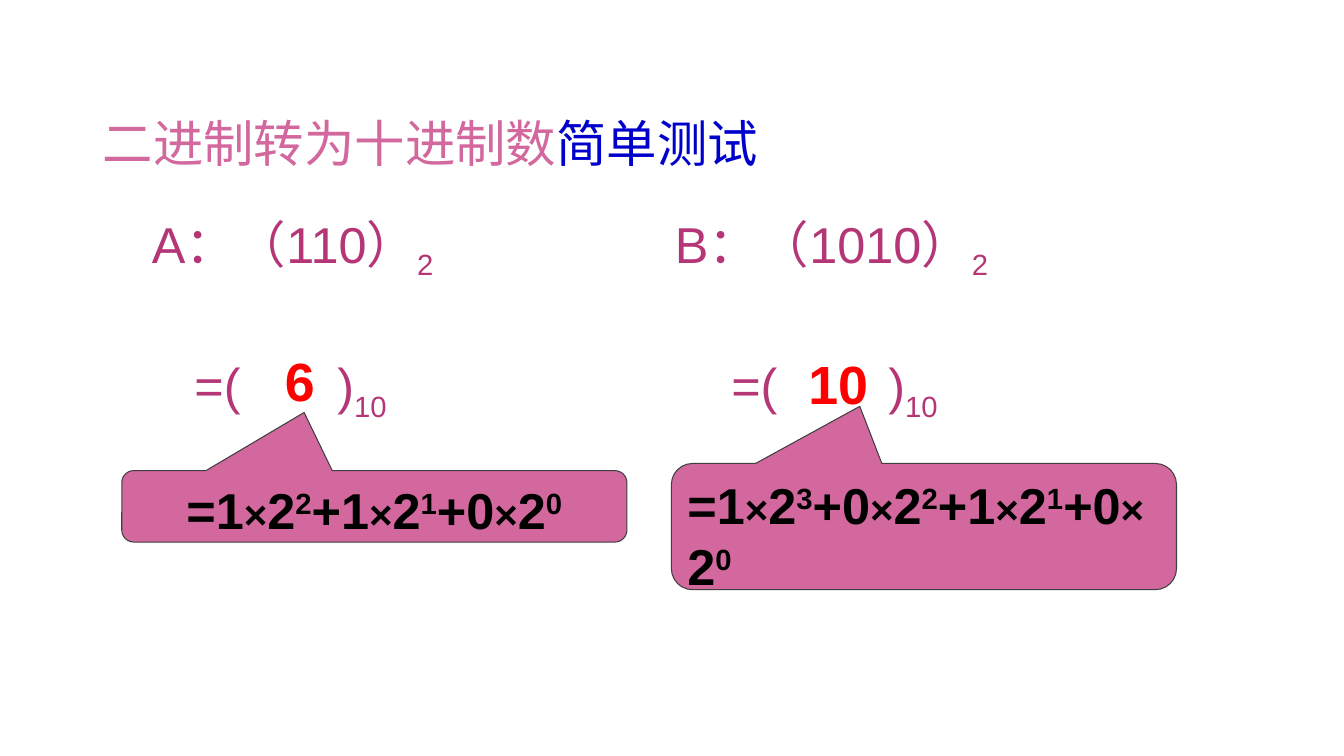
import pptx
import pptx.util
import pptx.dml.color
import pptx.enum.shapes
import pptx.enum.text
import pptx.oxml.ns
import lxml.etree

Cm, Pt = pptx.util.Cm, pptx.util.Pt
RGBColor = pptx.dml.color.RGBColor
ANCHOR = pptx.enum.text.MSO_ANCHOR
ALIGN = pptx.enum.text.PP_ALIGN

PINK = RGBColor(0xD2, 0x68, 0x9D)
PLUM = RGBColor(0xB5, 0x36, 0x76)
BLUE = RGBColor(0x00, 0x00, 0xCC)
RED = RGBColor(0xFF, 0x00, 0x00)
BLACK = RGBColor(0x00, 0x00, 0x00)
OUTLINE = RGBColor(0x3D, 0x3F, 0x41)


def add_span(para, text, color, baseline=0, **formats):
    span = para.add_run()
    span.text = text
    span.font.color.rgb = color
    for name, value in {"name": "Arial", "size": Pt(36), **formats}.items():
        setattr(span.font, name, value)
    if baseline:
        span._r.get_or_add_rPr().set("baseline", str(baseline * 1000))


def add_box(place, wrap=True):
    box = page.shapes.add_textbox(*[Cm(length) for length in place])
    box.text_frame.word_wrap = wrap
    return box.text_frame


deck = pptx.Presentation()
deck.slide_width, deck.slide_height = Cm(33.87), Cm(19.05)
page = deck.slides.add_slide(deck.slide_layouts[6])

# Title
title = add_box((2.34, 2.62, 29.21, 1.88))
title.vertical_anchor = ANCHOR.BOTTOM
title.paragraphs[0].line_spacing = 0.9
add_span(title.paragraphs[0], "二进制转为十进制数", PINK)
add_span(title.paragraphs[0], "简单测试", BLUE)

exercises = [
    {"label": "A", "bits": "110", "answer": "6", "align": ALIGN.CENTER,
     "question": (3.58, 5.26, 12.73, 6.98), "tabs": (1.07, 4.67),
     "answer_at": (6.93, 8.64, 1.27, 1.9),
     "callout": (3.07, 11.86, 12.73, 1.8), "tip": (-0.139, -1.314, 0.167)},
    {"label": "B", "bits": "1010", "answer": "10", "align": ALIGN.LEFT,
     "question": (16.76, 5.26, 13.49, 7.04), "tabs": (1.42, 5.38),
     "answer_at": (20.12, 8.71, 2.01, 1.9),
     "callout": (16.92, 11.68, 12.73, 3.18), "tip": (-0.127, -0.953, 0.167)},
]

for exercise in exercises:
    # Binary number and the brackets for its decimal value
    question = add_box(exercise["question"])
    binary, decimal = question.paragraphs[0], question.add_paragraph()
    add_span(binary, f"{exercise['label']}：（{exercise['bits']}）", PLUM)
    add_span(binary, "2", PLUM, -25)
    tab_list = lxml.etree.SubElement(decimal._p.get_or_add_pPr(),
                                     pptx.oxml.ns.qn("a:tabLst"))
    for position in exercise["tabs"]:
        lxml.etree.SubElement(tab_list, pptx.oxml.ns.qn("a:tab"),
                              pos=str(Cm(position)), algn="l")
    add_span(decimal, "\t=(\t)", PLUM)
    add_span(decimal, "10", PLUM, -25)
    binary.line_spacing = decimal.line_spacing = 0.9
    decimal.space_before = Pt(57)

    # Answer
    answer = add_box(exercise["answer_at"], wrap=False)
    add_span(answer.paragraphs[0], exercise["answer"], RED, size=Pt(38.4), bold=True)

    # Callout with the expansion in powers of two
    callout = page.shapes.add_shape(
        pptx.enum.shapes.MSO_SHAPE.ROUNDED_RECTANGULAR_CALLOUT,
        *[Cm(length) for length in exercise["callout"]])
    for index, value in enumerate(exercise["tip"]):
        callout.adjustments[index] = value
    callout.shadow.inherit = False
    callout.fill.solid()
    callout.fill.fore_color.rgb = PINK
    callout.line.color.rgb = OUTLINE
    callout.line.width = Pt(0.75)
    callout.text_frame.word_wrap = True
    callout.text_frame.vertical_anchor = ANCHOR.TOP
    para = callout.text_frame.paragraphs[0]
    para.alignment = exercise["align"]
    for index, bit in enumerate(exercise["bits"]):
        power = len(exercise["bits"]) - 1 - index
        add_span(para, ("+" if index else "=") + bit, BLACK, bold=True)
        add_span(para, "×", BLACK, size=Pt(28.8), bold=True)
        add_span(para, "2", BLACK, bold=True)
        add_span(para, str(power), BLACK, 30, bold=True)

deck.save("out.pptx")
